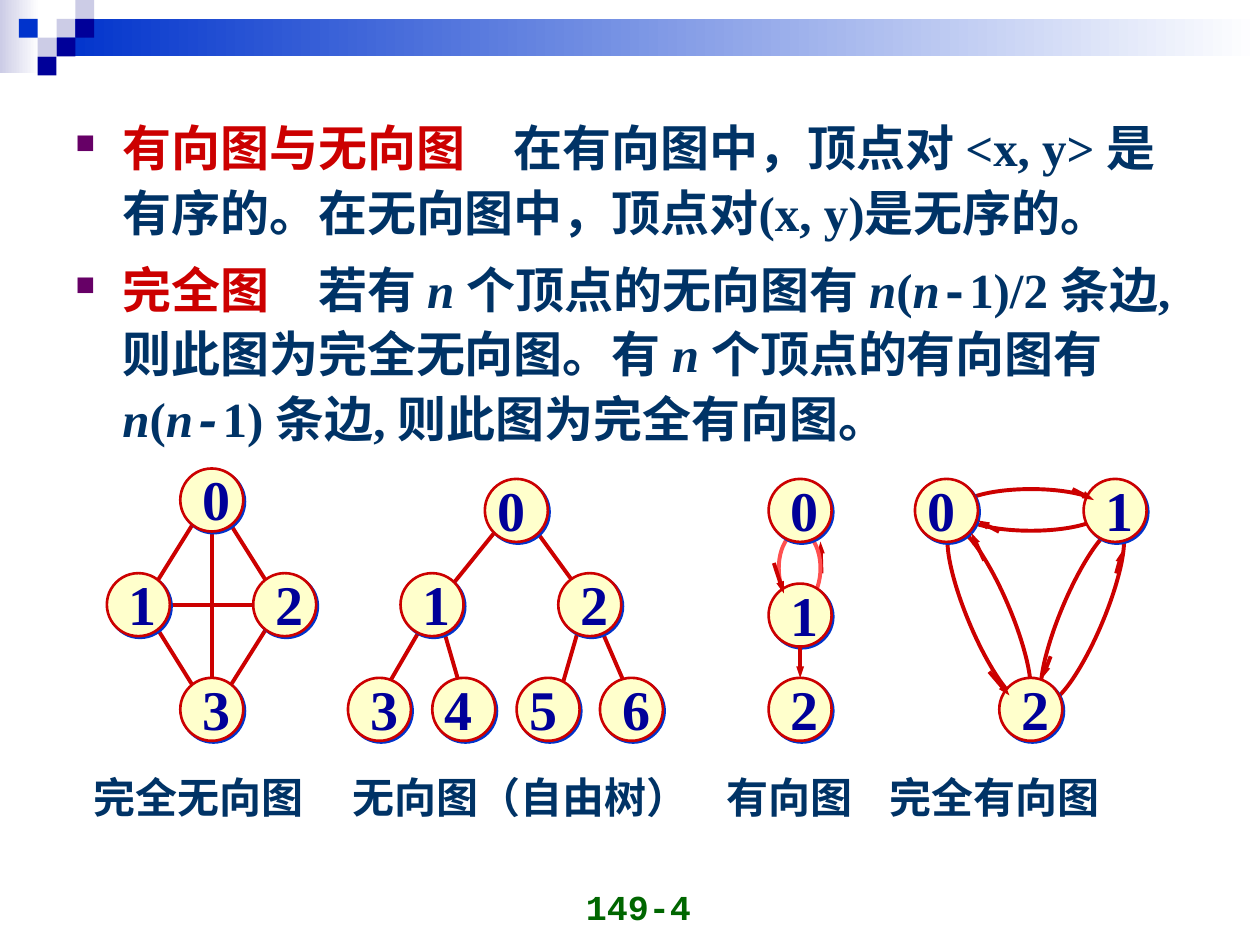
import pptx
import pptx.util
import pptx.dml.color
import pptx.enum.shapes
import pptx.enum.text
import pptx.oxml
from lxml import etree

Cm, Pt = pptx.util.Cm, pptx.util.Pt
RGB = pptx.dml.color.RGBColor
SHAPE = pptx.enum.shapes.MSO_SHAPE
ALIGN = pptx.enum.text.PP_ALIGN
ANCHOR = pptx.enum.text.MSO_ANCHOR
NS = "http://schemas.openxmlformats.org/drawingml/2006/main"

LAVENDER = RGB(0xCC, 0xCC, 0xE6)
BLUE = RGB(0x00, 0x33, 0xCC)
DARK_BLUE = RGB(0x00, 0x00, 0x99)
WHITE = RGB(0xFF, 0xFF, 0xFF)
RED = RGB(0xCC, 0x00, 0x00)
LIGHT_RED = RGB(0xFF, 0x50, 0x50)
CREAM = RGB(0xFF, 0xFF, 0xCC)
NAVY = RGB(0x00, 0x33, 0x66)
GREEN = RGB(0x00, 0x66, 0x00)

SERIF, SANS, MONO = "Times New Roman", "Arial", "Courier New"
CELL = 0.38
NODE_SIZE = 1.27

# Column, row and colour of each header square
SQUARES = [(3, 1, LAVENDER), (4, 0, LAVENDER), (4, 1, DARK_BLUE),
           (2, 2, LAVENDER), (1, 1, BLUE), (3, 2, DARK_BLUE), (2, 3, DARK_BLUE)]

# Runs: text, font, colour, italic
DEFINITIONS = [
    [("有向图与无向图\u3000".replace("\u3000", "　"), SANS, RED, False),
     ("在有向图中，顶点对 <x, y> 是有序的。在无向图中，顶点对(x, y)是无序的。",
      SERIF, NAVY, False)],
    [("完全图　", SANS, RED, False),
     ("若有 ", SERIF, NAVY, False), ("n ", SERIF, NAVY, True),
     ("个顶点的无向图有 ", SERIF, NAVY, False), ("n", SERIF, NAVY, True),
     ("(", SERIF, NAVY, False), ("n", SERIF, NAVY, True),
     ("-", MONO, NAVY, False),
     ("1)/2 条边, 则此图为完全无向图。有 ", SERIF, NAVY, False),
     ("n ", SERIF, NAVY, True), ("个顶点的有向图有", SERIF, NAVY, False),
     ("n", SERIF, NAVY, True), ("(", SERIF, NAVY, False),
     ("n", SERIF, NAVY, True), ("-", MONO, NAVY, True),
     ("1) 条边, 则此图为完全有向图。", SERIF, NAVY, False)],
]
DEFINITIONS[0][0] = ("有向图与无向图　", SANS, RED, False)

# Left, top, width, height, rotation, colour of the curved edges
CURVES = [(15.7, 10.72, 0.84, 1.47, 0, LIGHT_RED),
          (21.39, 10.49, 0.86, 3.81, 22.8, RED),
          (19.51, 10.49, 0.86, 3.81, 337.2, RED),
          (19.3, 9.86, 2.97, 0.84, 0, RED)]

# Start x, y and end x, y
TREE_EDGES = [(10.82, 10.72, 11.89, 12.19), (11.68, 12.62, 11.25, 14.1),
              (12.09, 12.62, 12.73, 14.1), (9.98, 10.72, 9.14, 11.76),
              (8.92, 12.62, 9.35, 14.1), (8.51, 12.62, 7.65, 14.1)]
COMPLETE_EDGES = [(3, 12.4, 4.06, 14.1), (4.47, 10.29, 5.54, 11.99),
                  (5.54, 12.4, 4.47, 14.1), (4.06, 10.29, 3, 11.99),
                  (3.2, 12.19, 5.54, 12.19), (4.27, 10.49, 4.27, 14.3)]
BACK_ARROW = (16.56, 11.56, 16.54, 10.92)
ARROWS = [(16.13, 13.03, 16.13, 13.67), (21.62, 9.86, 22.05, 10.08),
          (20.14, 10.72, 19.71, 10.49), (19.94, 13.54, 20.35, 14.02),
          (19.84, 11.3, 19.58, 10.74), (21.18, 13.23, 21.01, 13.67),
          (22.5, 11.56, 22.63, 11.1), (15.6, 11.35, 15.8, 11.96)]

# Number, centre x, centre y, label shift x
NODES = [("1", 2.79, 12.19, 0.08), ("2", 5.74, 12.19, 0.1),
         ("0", 4.27, 10.08, 0.1), ("3", 4.27, 14.3, 0.1),
         ("3", 7.65, 14.3, 0.1), ("4", 9.35, 14.3, -0.1),
         ("5", 11.05, 14.3, -0.1), ("6", 12.73, 14.3, 0.1),
         ("1", 8.71, 12.19, 0.1), ("2", 11.89, 12.19, 0.1),
         ("0", 10.41, 10.29, -0.1),
         ("0", 16.13, 10.29, 0.08), ("1", 16.13, 12.4, 0.08),
         ("2", 16.13, 14.3, 0.08),
         ("0", 19.08, 10.29, -0.1), ("1", 22.48, 10.29, 0.08),
         ("2", 20.78, 14.3, 0.1)]

# Text and centre x
CAPTIONS = [("完全无向图", 4), ("无向图（自由树）", 10.5),
            ("有向图", 15.92), ("完全有向图", 20.05)]


def add_xml(parent, xml):
    parent.append(pptx.oxml.parse_xml(xml.replace(">", f' xmlns:a="{NS}">', 1)))


def add_block(slide, kind, left, top, width, height):
    block = slide.shapes.add_shape(kind, Cm(left), Cm(top), Cm(width), Cm(height))
    block.shadow.inherit = False
    return block


def add_bar(slide, left, top, width, height, *colors):
    bar = add_block(slide, SHAPE.RECTANGLE, left, top, width, height)
    bar.line.fill.background()
    if len(colors) == 1:
        bar.fill.solid()
        bar.fill.fore_color.rgb = colors[0]
        return
    bar.fill.gradient()
    bar.fill.gradient_angle = 0
    for stop, color in zip(bar.fill.gradient_stops, colors):
        stop.color.rgb = color


def add_curve(slide, left, top, width, height, rotation, color):
    curve = add_block(slide, SHAPE.OVAL, left, top, width, height)
    curve.rotation = rotation
    curve.fill.background()
    curve.line.color.rgb = color
    curve.line.width = Pt(2.25)


def add_edge(slide, x1, y1, x2, y2, arrow=False):
    edge = slide.shapes.add_connector(
        pptx.enum.shapes.MSO_CONNECTOR.STRAIGHT, Cm(x1), Cm(y1), Cm(x2), Cm(y2))
    edge.line.color.rgb = RED
    edge.line.width = Pt(2.25)
    if arrow:
        add_xml(edge.line._get_or_add_ln(),
                '<a:tailEnd type="triangle" w="sm" len="med"></a:tailEnd>')
    etree.SubElement(edge._element.spPr, f"{{{NS}}}effectLst")


def add_node(slide, x, y):
    node = add_block(slide, SHAPE.OVAL, x - NODE_SIZE / 2, y - NODE_SIZE / 2,
                     NODE_SIZE, NODE_SIZE)
    node.fill.solid()
    node.fill.fore_color.rgb = CREAM
    node.line.color.rgb = RED
    node.line.width = Pt(1.5)
    effects = node._element.spPr.find(f"{{{NS}}}effectLst")
    add_xml(effects, '<a:outerShdw dist="17780" dir="2700000" algn="ctr" '
                     f'rotWithShape="0"><a:srgbClr val="{BLUE}"/></a:outerShdw>')


def style_font(font, name, color, size, italic=None):
    font.name, font.size, font.bold, font.italic = name, Pt(size), True, italic
    font.color.rgb = color


def add_label(slide, text, x, y, width, height, font, color, size,
              anchor=ANCHOR.MIDDLE):
    label = slide.shapes.add_textbox(Cm(x - width / 2), Cm(y - height / 2),
                                     Cm(width), Cm(height))
    label.text_frame.word_wrap = False
    label.text_frame.vertical_anchor = anchor
    paragraph = label.text_frame.paragraphs[0]
    paragraph.text = text
    paragraph.alignment = ALIGN.CENTER
    style_font(paragraph.font, font, color, size)


def add_definitions(slide):
    body = slide.shapes.add_textbox(Cm(1.27), Cm(2.13), Cm(22.86), Cm(9.4))
    frame = body.text_frame
    frame.word_wrap = True
    for index, runs in enumerate(DEFINITIONS):
        paragraph = frame.add_paragraph() if index else frame.paragraphs[0]
        paragraph.line_spacing = 1.1
        if index:
            paragraph.space_before = Pt(7)
        props = paragraph._p.get_or_add_pPr()
        props.set("marL", str(Cm(0.95)))
        props.set("indent", str(-Cm(0.95)))
        add_xml(props, '<a:buClr><a:srgbClr val="660066"/></a:buClr>')
        add_xml(props, '<a:buSzPct val="55000"></a:buSzPct>')
        add_xml(props, '<a:buChar char="■"></a:buChar>')
        for text, font, color, italic in runs:
            run = paragraph.add_run()
            run.text = text
            style_font(run.font, font, color, 28, italic)


def main():
    deck = pptx.Presentation()
    deck.slide_width, deck.slide_height = Cm(25.4), Cm(19.05)
    slide = deck.slides.add_slide(deck.slide_layouts[6])

    # Header band
    add_bar(slide, 0, 0, 0.79, 1.47, LAVENDER, WHITE)
    add_bar(slide, 3 * CELL, CELL, 24.26, 2 * CELL, BLUE, WHITE)
    for column, row, color in SQUARES:
        add_bar(slide, column * CELL, row * CELL, CELL, CELL, color)

    # Definitions
    add_definitions(slide)

    # Edges behind the nodes
    add_edge(slide, *BACK_ARROW, arrow=True)
    for curve in CURVES:
        add_curve(slide, *curve)
    for edge in TREE_EDGES + COMPLETE_EDGES:
        add_edge(slide, *edge)

    # Nodes, arrows and numbers
    for _, x, y, _ in NODES:
        add_node(slide, x, y)
    for arrow in ARROWS:
        add_edge(slide, *arrow, arrow=True)
    for number, x, y, shift in NODES:
        add_label(slide, number, x + shift, y - 0.03, 1.07, 1.63,
                  SERIF, DARK_BLUE, 32)

    # Captions and page number
    for text, x in CAPTIONS:
        add_label(slide, text, x, 16.07, 0.85 * len(text) + 0.5, 1.2,
                  SERIF, NAVY, 24)
    add_label(slide, "149-4", 12.87, 18.19, 5.92, 1.27, MONO, GREEN, 20,
              ANCHOR.BOTTOM)

    deck.save("out.pptx")


if __name__ == "__main__":
    main()
